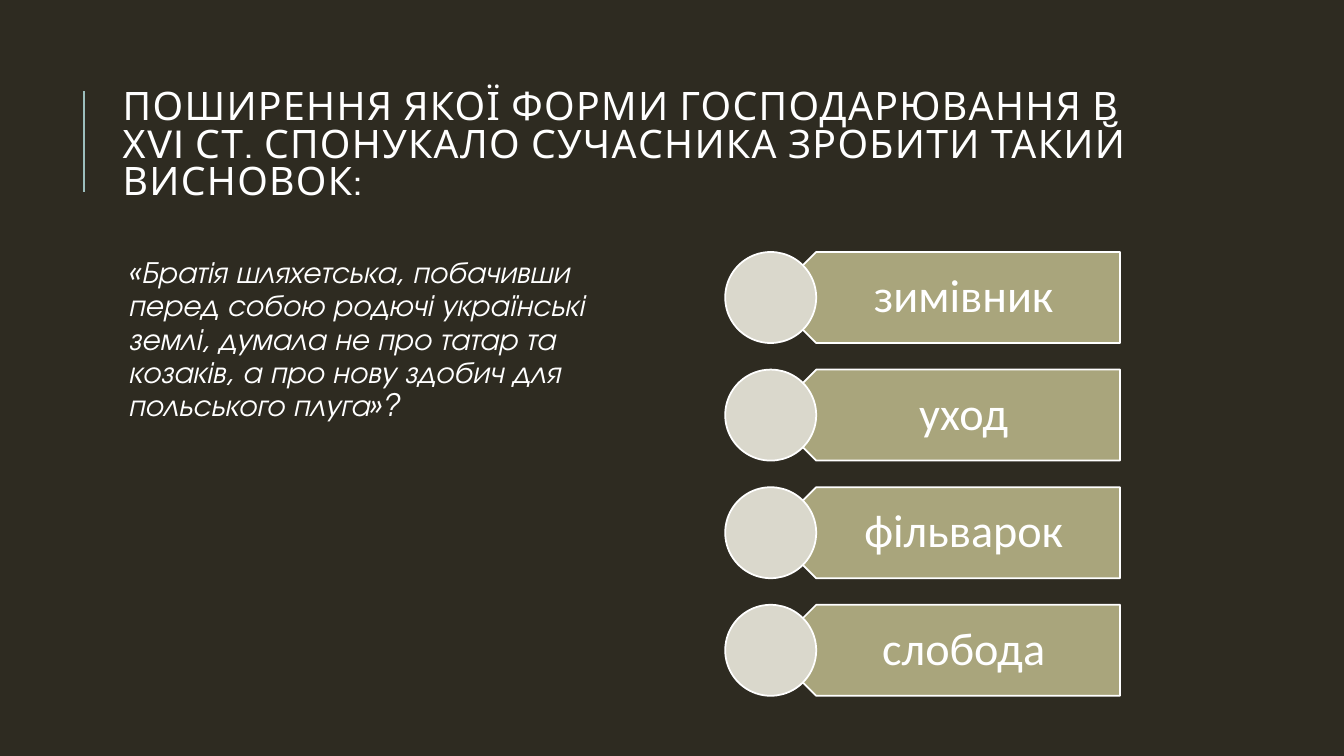
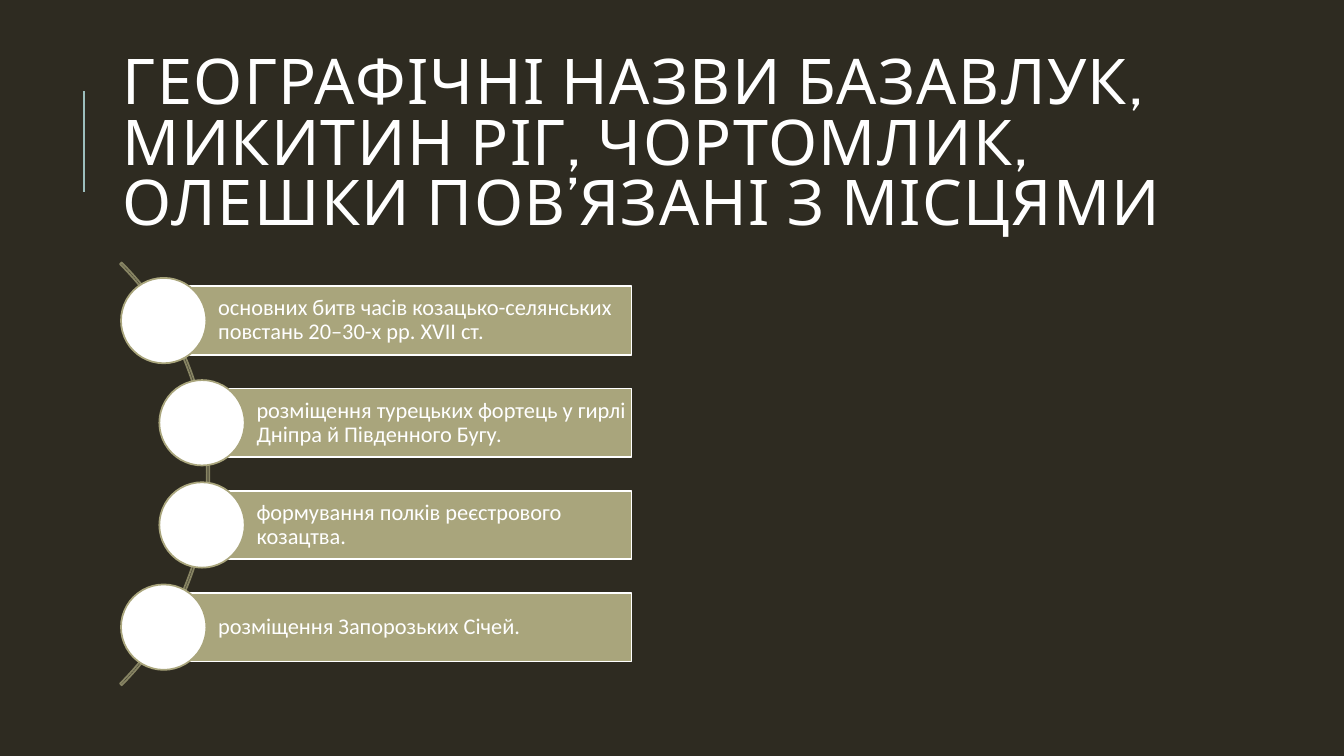
import math

import pptx
import pptx.dml.color
import pptx.enum.shapes
import pptx.enum.text
import pptx.oxml
import pptx.util

Pt = pptx.util.Pt
RGBColor = pptx.dml.color.RGBColor
MSO_SHAPE = pptx.enum.shapes.MSO_SHAPE
ANCHOR = pptx.enum.text.MSO_ANCHOR
ALIGN = pptx.enum.text.PP_ALIGN

DARK = RGBColor(0x2E, 0x2B, 0x21)
WHITE = RGBColor(0xFF, 0xFF, 0xFF)
TEAL = RGBColor(0x9C, 0xBE, 0xBD)
KHAKI = RGBColor(0xA9, 0xA5, 0x7C)
SAND = RGBColor(0xDA, 0xD8, 0xCC)
OLIVE = RGBColor(0x87, 0x84, 0x63)

TITLE_FONT, QUOTE_FONT, LABEL_FONT = "Cabin", "TeX Gyre Adventor", "Calibri"

# Boxes are left, top, width, height in points.
TITLE_BOX = (80.6, 46, 765.4, 118)
QUOTE_BOX = (80.6, 180, 374.4, 317)
ANSWERS_BOX = (518, 180, 282, 317)
ARC_BOX = (81, 180, 370, 317)


def add_shape(s, kind, box, fill, line):
    sp = s.shapes.add_shape(kind, *map(Pt, box))
    sp.shadow.inherit = False
    if fill is None:
        sp.fill.background()
    else:
        sp.fill.solid()
        sp.fill.fore_color.rgb = fill
    sp.line.color.rgb = line
    sp.line.width = Pt(1.25)
    return sp


def write(sp, text, font, size, insets=(7.2, 3.6, 7.2, 3.6), anchor=ANCHOR.MIDDLE,
          align=ALIGN.LEFT, spacing=0.9):
    """Fill a shape or text box with one white paragraph and return it."""
    tf = sp.text_frame
    tf.word_wrap = True
    tf.vertical_anchor = anchor
    tf.margin_left, tf.margin_top, tf.margin_right, tf.margin_bottom = map(Pt, insets)
    p = tf.paragraphs[0]
    p.text = text
    p.alignment = align
    p.line_spacing = spacing
    p.font.name = font
    p.font.size = Pt(size)
    p.font.color.rgb = WHITE
    return p


def add_text(s, box, *args, **kwargs):
    return write(s.shapes.add_textbox(*map(Pt, box)), *args, **kwargs)


def add_titled_slide(prs, title, size):
    s = prs.slides.add_slide(prs.slide_layouts[6])
    s.background.fill.solid()
    s.background.fill.fore_color.rgb = DARK
    rule = s.shapes.add_connector(pptx.enum.shapes.MSO_CONNECTOR.STRAIGHT,
                                  Pt(60), Pt(137), Pt(60), Pt(65))
    rule.line.color.rgb = TEAL
    rule.line.width = Pt(1.5)
    spPr = rule._element.spPr
    spPr.append(pptx.oxml.parse_xml(
        '<a:effectLst xmlns:a="http://schemas.openxmlformats.org/drawingml/2006/main"/>'))
    p = add_text(s, TITLE_BOX, title, TITLE_FONT, size, spacing=0.8)
    p.runs[0].font._element.set("spc", "100")
    return s


def add_quote(s, box, text):
    p = add_text(s, box, text, QUOTE_FONT, 22, insets=(11, 3.6, 3.6, 3.6),
                 anchor=ANCHOR.TOP)
    p.font.italic = True


def add_arrow_list(s, box, labels):
    """Stack labelled left-pointing plates, each with a disc on its tip."""
    left, top, width, height = box
    disc = 65
    step = (height - disc) / (len(labels) - 1)
    for i, label in enumerate(labels):
        y = top + i * step
        plate_left = left + disc / 2
        plate = add_shape(s, MSO_SHAPE.PENTAGON,
                          (plate_left, y, width - disc / 2, disc), KHAKI, WHITE)
        plate.rotation = 180
        text_left = plate_left + disc / 4
        add_text(s, (text_left, y, left + width - text_left, disc), label,
                 LABEL_FONT, 33, insets=(29, 10, 19, 10), align=ALIGN.CENTER)
        add_shape(s, MSO_SHAPE.OVAL, (left, y, disc, disc), SAND, WHITE)


def add_arc_list(s, box, labels):
    """Set bars with discs along an arc whose centre lies left of the box."""
    left, top, width, height = box
    radius, disc, bar, step = 213.5, 61, 49, 73
    centre_x, centre_y = left - 145, top + height / 2
    arc = add_shape(s, MSO_SHAPE.BLOCK_ARC,
                    (centre_x - radius, centre_y - radius, 2 * radius, 2 * radius),
                    None, OLIVE)
    for i, value in enumerate((189, 27, 0.004)):
        arc.adjustments[i] = value
    for i, label in enumerate(labels):
        dy = (i - (len(labels) - 1) / 2) * step
        x, y = centre_x + math.sqrt((radius - 2) ** 2 - dy ** 2), centre_y + dy
        sp = add_shape(s, MSO_SHAPE.RECTANGLE,
                       (x, y - bar / 2, left + width - x, bar), KHAKI, WHITE)
        write(sp, label, LABEL_FONT, 16, insets=(38.9, 2.9, 2.9, 2.9))
        add_shape(s, MSO_SHAPE.OVAL, (x - disc / 2, y - disc / 2, disc, disc),
                  WHITE, KHAKI)


def main():
    prs = pptx.Presentation()
    prs.slide_width, prs.slide_height = Pt(960), Pt(540)

    s = add_titled_slide(prs, "ПОШИРЕННЯ ЯКОЇ ФОРМИ ГОСПОДАРЮВАННЯ В ХVI СТ. "
                         "СПОНУКАЛО СУЧАСНИКА ЗРОБИТИ ТАКИЙ ВИСНОВОК:", 28)
    add_quote(s, QUOTE_BOX, "«Братія шляхетська, побачивши перед собою родючі "
              "українські землі, думала не про татар та козаків, а про нову "
              "здобич для польського плуга»?")
    add_arrow_list(s, ANSWERS_BOX, ["зимівник", "уход", "фільварок", "слобода"])

    s = add_titled_slide(prs, "ГЕОГРАФІЧНІ НАЗВИ БАЗАВЛУК, МИКИТИН РІГ, "
                         "ЧОРТОМЛИК, ОЛЕШКИ ПОВ’ЯЗАНІ З МІСЦЯМИ", 45)
    add_arc_list(s, ARC_BOX, [
        "основних битв часів козацько-селянських повстань 20–30-х рр. XVII ст.",
        "розміщення турецьких фортець у гирлі Дніпра й Південного Бугу.",
        "формування полків реєстрового козацтва.",
        "розміщення Запорозьких Січей.",
    ])

    prs.save("out.pptx")


if __name__ == "__main__":
    main()
